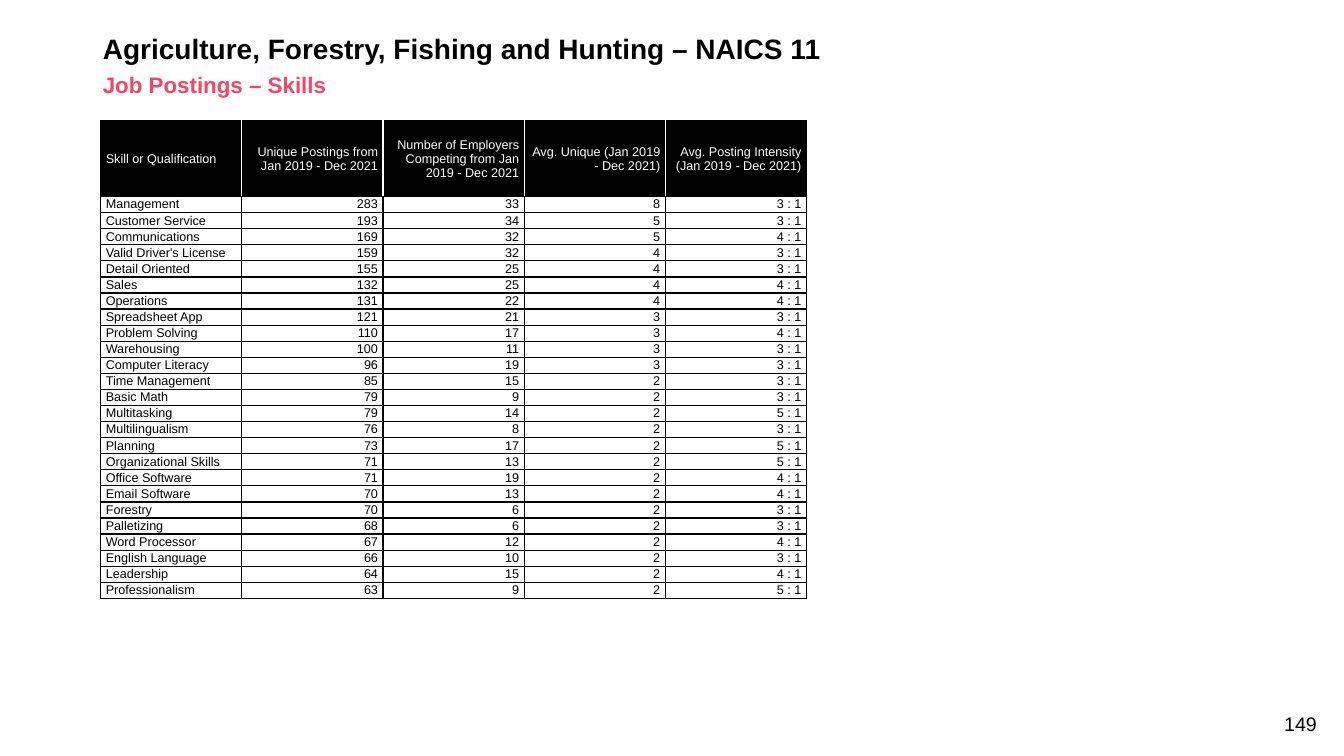
import pptx
import pptx.util
import pptx.dml.color
import pptx.enum.text
import pptx.oxml
import pptx.oxml.ns

BLACK = pptx.dml.color.RGBColor(0x00, 0x00, 0x00)
WHITE = pptx.dml.color.RGBColor(0xFF, 0xFF, 0xFF)
PINK = pptx.dml.color.RGBColor(0xF5, 0x45, 0x62)
FONT = "Arial"
WIDTH = pptx.util.Inches(13.33)
HEIGHT = pptx.util.Inches(7.5)
LEFT = pptx.enum.text.PP_ALIGN.LEFT
RIGHT = pptx.enum.text.PP_ALIGN.RIGHT
MIDDLE = pptx.enum.text.MSO_ANCHOR.MIDDLE
BOTTOM = pptx.enum.text.MSO_ANCHOR.BOTTOM

HEADERS = (
    "Skill or Qualification",
    "Unique Postings from Jan 2019 - Dec 2021",
    "Number of Employers Competing from Jan 2019 - Dec 2021",
    "Avg. Unique (Jan 2019 - Dec 2021)",
    "Avg. Posting Intensity (Jan 2019 - Dec 2021)",
)
# Skill, unique postings, employers, monthly average, postings per unique posting
SKILLS = (
    ("Management", 283, 33, 8, 3),
    ("Customer Service", 193, 34, 5, 3),
    ("Communications", 169, 32, 5, 4),
    ("Valid Driver's License", 159, 32, 4, 3),
    ("Detail Oriented", 155, 25, 4, 3),
    ("Sales", 132, 25, 4, 4),
    ("Operations", 131, 22, 4, 4),
    ("Spreadsheet App", 121, 21, 3, 3),
    ("Problem Solving", 110, 17, 3, 4),
    ("Warehousing", 100, 11, 3, 3),
    ("Computer Literacy", 96, 19, 3, 3),
    ("Time Management", 85, 15, 2, 3),
    ("Basic Math", 79, 9, 2, 3),
    ("Multitasking", 79, 14, 2, 5),
    ("Multilingualism", 76, 8, 2, 3),
    ("Planning", 73, 17, 2, 5),
    ("Organizational Skills", 71, 13, 2, 5),
    ("Office Software", 71, 19, 2, 4),
    ("Email Software", 70, 13, 2, 4),
    ("Forestry", 70, 6, 2, 3),
    ("Palletizing", 68, 6, 2, 3),
    ("Word Processor", 67, 12, 2, 4),
    ("English Language", 66, 10, 2, 3),
    ("Leadership", 64, 15, 2, 4),
    ("Professionalism", 63, 9, 2, 5),
)


def across(percent):
    return round(WIDTH * percent / 100)


def down(percent):
    return round(HEIGHT * percent / 100)


def write(tf, text, size, color, align=LEFT, bold=False):
    p = tf.paragraphs[0]
    p.alignment = align
    r = p.add_run()
    r.text = text
    r.font.name = FONT
    r.font.size = pptx.util.Pt(size)
    r.font.bold = bold
    r.font.color.rgb = color
    return p


def fill_heading(sp, top, height, text, size, color):
    """Move a placeholder into the heading area and write one bold line."""
    sp.left, sp.top = across(6.9), down(top)
    sp.width, sp.height = across(86.25), down(height)
    tf = sp.text_frame
    tf.word_wrap = True
    tf.auto_size = pptx.enum.text.MSO_AUTO_SIZE.NONE
    tf.vertical_anchor = MIDDLE
    p = write(tf, text, size, color, bold=True)
    p.line_spacing = 0.9
    p.space_before = pptx.util.Pt(0)
    pPr = p._p.get_or_add_pPr()
    pPr.set("marL", "0")
    pPr.set("indent", "0")
    pPr.append(pptx.oxml.parse_xml(f"<a:buNone {pptx.oxml.ns.nsdecls('a')}/>"))


def set_borders(cell, sides):
    """Draw 1 pt borders; sides maps L, R, T and B to a colour."""
    tcPr = cell._tc.get_or_add_tcPr()
    for side, color in sides.items():
        tcPr.append(pptx.oxml.parse_xml(
            f"<a:ln{side} {pptx.oxml.ns.nsdecls('a')} w=\"12700\"><a:solidFill>"
            f"<a:srgbClr val=\"{color}\"/></a:solidFill></a:ln{side}>"))


def fill_cell(cell, text, column, is_header):
    cell.margin_left = cell.margin_right = pptx.util.Inches(0.05)
    cell.margin_top = cell.margin_bottom = pptx.util.Pt(0.6)
    cell.vertical_anchor = MIDDLE
    sides = dict.fromkeys("LRTB", BLACK)
    if is_header and column > 0:
        sides["L"] = WHITE
    if is_header and column < len(HEADERS) - 1:
        sides["R"] = WHITE
    set_borders(cell, sides)
    if is_header:
        cell.fill.solid()
        cell.fill.fore_color.rgb = BLACK
    else:
        cell.fill.background()
    write(cell.text_frame, text, 9, WHITE if is_header else BLACK,
          RIGHT if column else LEFT)


def add_skills_table(s):
    rows = [HEADERS] + [(*values, f"{ratio} : 1") for *values, ratio in SKILLS]
    column_width, header_height, row_height = across(10.5), down(10), down(2.13)
    table = s.shapes.add_table(
        len(rows), len(HEADERS), across(7.5), down(16),
        column_width * len(HEADERS),
        header_height + row_height * len(SKILLS)).table
    table.horz_banding = False
    for column in table.columns:
        column.width = column_width
    for i, values in enumerate(rows):
        table.rows[i].height = row_height if i else header_height
        for j, value in enumerate(values):
            fill_cell(table.cell(i, j), str(value), j, i == 0)


def add_page_number(s, number):
    sp = s.shapes.add_textbox(across(92.72), down(93.47), across(6), down(4.53))
    tf = sp.text_frame
    tf.word_wrap = True
    tf.vertical_anchor = BOTTOM
    write(tf, number, 14, BLACK, RIGHT)


def main():
    prs = pptx.Presentation()
    prs.slide_width, prs.slide_height = WIDTH, HEIGHT
    s = prs.slides.add_slide(prs.slide_layouts[1])

    # Headings
    fill_heading(s.shapes.title, 4, 5.33,
                 "Agriculture, Forestry, Fishing and Hunting – NAICS 11", 20, BLACK)
    fill_heading(s.placeholders[1], 9.47, 4, "Job Postings – Skills", 16, PINK)

    # Table and page number
    add_skills_table(s)
    add_page_number(s, "149")

    prs.save("out.pptx")


if __name__ == "__main__":
    main()
